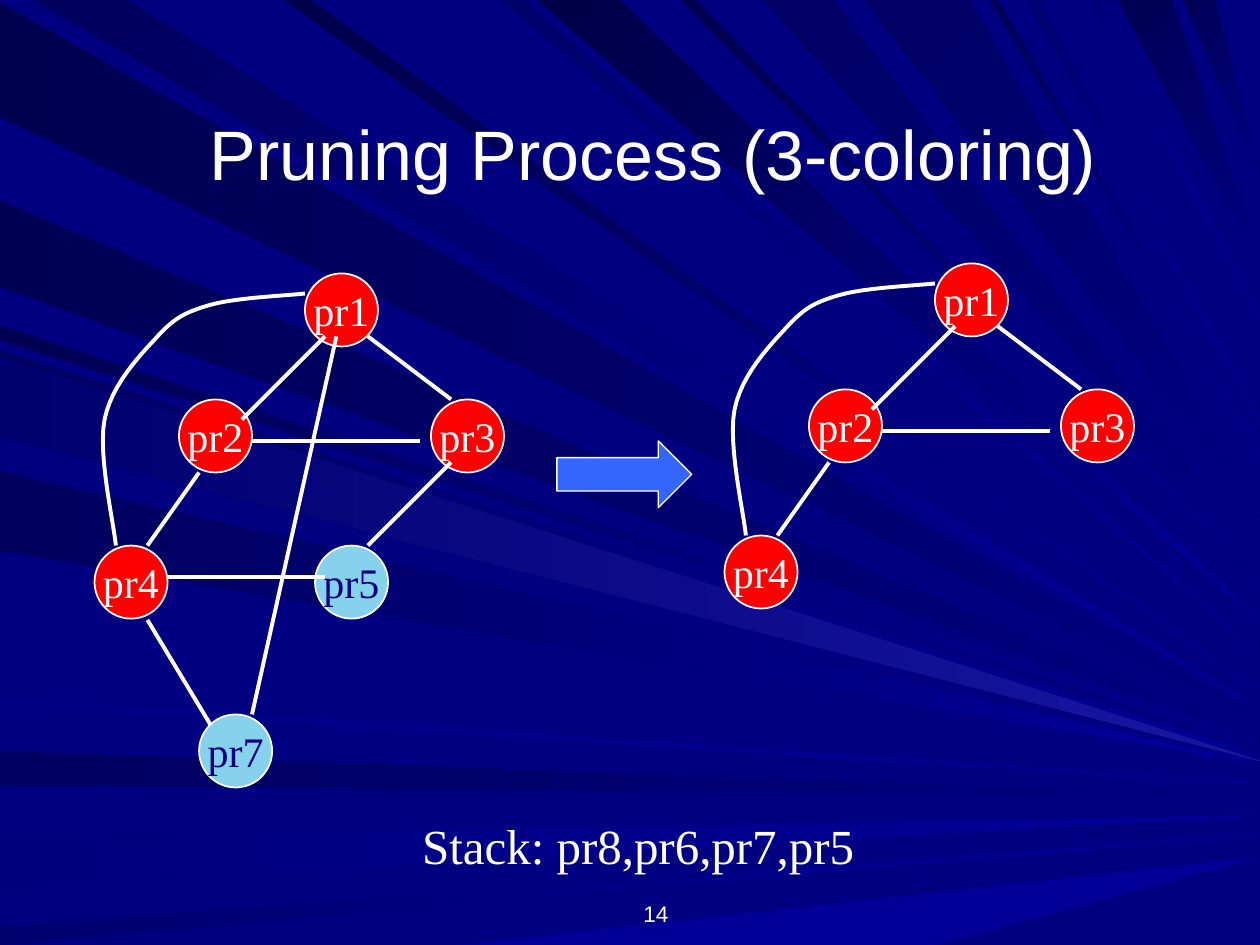
from dataclasses import dataclass
from typing import NamedTuple

from lxml.etree import SubElement
from pptx import Presentation
from pptx.dml.color import RGBColor
from pptx.enum.shapes import MSO_CONNECTOR, MSO_SHAPE
from pptx.enum.text import MSO_ANCHOR, PP_ALIGN
from pptx.oxml.ns import qn
from pptx.util import Inches, Pt


@dataclass(frozen=True)
class Theme:
    back: str = "000080"
    ray: str = "000099"
    glow: str = "1717A2"
    ink: str = "FFFFFF"
    kept: str = "FF0000"
    cut: str = "86D1EC"
    arrow: str = "3366FF"
    sans: str = "Arial"
    serif: str = "Times New Roman"
    title: float = 40
    stack: float = 28
    node: float = 24
    number: float = 12.9
    edge: float = 2.25
    rim: float = 1
    thin: float = 0.75


T = Theme()
WIDE, HIGH = 10, 7.5
SIZE = 0.58


class Ray(NamedTuple):
    """A beam from a stretch of one slide side to a tip on the right side."""
    side: str
    near: float
    far: float
    tip: float
    start: str
    end: str = T.ray


class Node(NamedTuple):
    name: str
    x: float
    y: float
    kept: bool = True


class Edge(NamedTuple):
    x1: float
    y1: float
    x2: float
    y2: float
    kept: bool = True


RAYS = [
    Ray("left", 0.02, 0.93, 5.7, "000051", T.back),
    Ray("top", 0.26, 1.01, 5.63, "00005D"),
    Ray("left", 5.96, 6.23, 6.32, "000061", T.back),
    Ray("left", 6.65, 7.04, 6.47, "00007D"),
    Ray("left", 7.35, 7.5, 6.62, "00006F"),
    Ray("bottom", 3.64, 7.42, 6.8, T.ray),
    Ray("left", 2.58, 2.7, 5.89, "000053"),
    Ray("left", 1.59, 2.28, 5.85, "000055", T.back),
    Ray("top", 3.98, 4.16, 5.18, "00006B"),
    Ray("top", 4.26, 4.92, 4.93, "000047"),
    Ray("top", 5.4, 5.52, 4.63, "00004F"),
    Ray("top", 6.06, 6.61, 4.46, "000065", T.back),
    Ray("top", 8.87, 9.3, 2.1, "000055", T.back),
    Ray("top", 9.39, 9.64, 1.4, "000059", T.back),
    Ray("left", 2.78, 3.42, 6, "000061"),
    Ray("left", 3.74, 4.37, 6.06, "00005D"),
    Ray("left", 5.52, 5.6, 6.22, "000082"),
    Ray("top", 2.25, 2.47, 5.5, "00004A"),
    Ray("top", 6.86, 7.7, 4.1, "000065", T.back),
    Ray("top", 7.85, 7.92, 3.57, "000058"),
    Ray("top", 8.15, 8.24, 3.36, "00006F"),
    Ray("top", 8.65, 8.72, 2.54, "000079"),
    Ray("left", 2.83, 3.47, 6.04, "00006F", T.glow),
]
NODES = [
    Node("pr1", 2.42, 2.17), Node("pr2", 1.42, 3.17), Node("pr3", 3.42, 3.17),
    Node("pr5", 2.5, 4.33, False), Node("pr4", 0.75, 4.33), Node("pr7", 1.58, 5.67, False),
]
EDGES = [
    Edge(2.58, 2.67, 1.92, 3.33), Edge(2, 3.5, 3.33, 3.5),
    Edge(1.58, 3.75, 1.17, 4.33), Edge(2.92, 2.67, 3.58, 3.17),
    Edge(1.33, 4.58, 2.58, 4.58, False), Edge(2.67, 2.67, 2, 5.67, False),
    Edge(1.17, 4.92, 1.67, 5.75, False), Edge(3.58, 3.67, 2.92, 4.33, False),
]
BEND = [(2.42, 2.33), (1.67, 2.42), (1.25, 2.67), (0.83, 3.33), (0.92, 4.33)]


def rgb(code: str) -> RGBColor:
    return RGBColor.from_string(code)


def stroke(line, width: float) -> None:
    line.color.rgb = rgb(T.ink)
    line.width = Pt(width)


def trace(slide, points, close: bool):
    spots = [(Inches(x), Inches(y)) for x, y in points]
    pen = slide.shapes.build_freeform(*spots[0])
    pen.add_line_segments(spots[1:], close=close)
    shape = pen.convert_to_shape()
    shape.shadow.inherit = False
    return shape


def add_ray(slide, ray: Ray) -> None:
    if ray.side == "left":
        base = [(0, ray.near), (0, ray.far)]
    else:
        y = 0 if ray.side == "top" else HIGH
        base = [(ray.near, y), (ray.far, y)]
    shape = trace(slide, base + [(WIDE, ray.tip)], True)
    shape.line.fill.background()
    shape.fill.gradient()
    shape.fill.gradient_angle = 315 if ray.side == "top" else 0
    for stop, code in zip(shape.fill.gradient_stops, (ray.start, ray.end)):
        stop.color.rgb = rgb(code)


def write(shape, text: str, face: str, size: float, anchor=MSO_ANCHOR.MIDDLE,
          wrap: bool = True, ink: str = T.ink) -> None:
    frame = shape.text_frame
    frame.word_wrap = wrap
    frame.vertical_anchor = anchor
    line = frame.paragraphs[0]
    line.text = text
    line.alignment = PP_ALIGN.CENTER
    line.font.name, line.font.size = face, Pt(size)
    line.font.color.rgb = rgb(ink)


def add_text(slide, box, *args, **kwargs) -> None:
    write(slide.shapes.add_textbox(*map(Inches, box)), *args, **kwargs)


def add_shape(slide, kind, box, fill: str, width: float):
    shape = slide.shapes.add_shape(kind, *map(Inches, box))
    shape.shadow.inherit = False
    shape.fill.solid()
    shape.fill.fore_color.rgb = rgb(fill)
    stroke(shape.line, width)
    return shape


def curve(knots, steps: int = 12):
    """Points on a Catmull-Rom curve through the knots."""
    ends = [knots[0], *knots, knots[-1]]
    spots = [knots[0]]
    for a, b, c, d in zip(ends, ends[1:], ends[2:], ends[3:]):
        for t in (n / steps for n in range(1, steps + 1)):
            spots.append(tuple(
                q + t / 2 * (r - p + t * (2 * p - 5 * q + 4 * r - s + t * (3 * (q - r) + s - p)))
                for p, q, r, s in zip(a, b, c, d)))
    return spots


def add_graph(slide, dx: float, dy: float, pruned: bool) -> None:
    for node in NODES:
        if node.kept or not pruned:
            box = (node.x + dx, node.y + dy, SIZE, SIZE)
            fill, ink = (T.kept, T.ink) if node.kept else (T.cut, T.back)
            disc = add_shape(slide, MSO_SHAPE.OVAL, box, fill, T.rim)
            write(disc, node.name, T.serif, T.node, wrap=False, ink=ink)
    for edge in EDGES:
        if edge.kept or not pruned:
            ends = (edge.x1 + dx, edge.y1 + dy, edge.x2 + dx, edge.y2 + dy)
            link = slide.shapes.add_connector(MSO_CONNECTOR.STRAIGHT, *map(Inches, ends))
            stroke(link.line, T.edge)
            SubElement(link._element.spPr, qn("a:effectLst"))
    bend = trace(slide, [(x + dx, y + dy) for x, y in curve(BEND)], False)
    bend.fill.background()
    stroke(bend.line, T.edge)


def main() -> None:
    deck = Presentation()
    deck.slide_width, deck.slide_height = Inches(WIDE), Inches(HIGH)
    slide = deck.slides.add_slide(deck.slide_layouts[6])
    slide.background.fill.solid()
    slide.background.fill.fore_color.rgb = rgb(T.back)
    for ray in RAYS:
        add_ray(slide, ray)
    add_text(slide, (1.83, 7.08, 6.75, 0.33), "14", T.sans, T.number, MSO_ANCHOR.BOTTOM)
    add_text(slide, (1, 0.75, 8.52, 0.92), "Pruning Process (3-coloring) ", T.sans, T.title)
    add_text(slide, (3.25, 6.42, 3.63, 0.57), "Stack: pr8,pr6,pr7,pr5", T.serif, T.stack,
             MSO_ANCHOR.TOP, wrap=False)
    add_graph(slide, 5, -0.08, pruned=True)
    add_shape(slide, MSO_SHAPE.RIGHT_ARROW, (4.42, 3.5, 1.07, 0.53), T.arrow, T.thin)
    add_graph(slide, 0, 0, pruned=False)
    deck.save("out.pptx")


if __name__ == "__main__":
    main()
